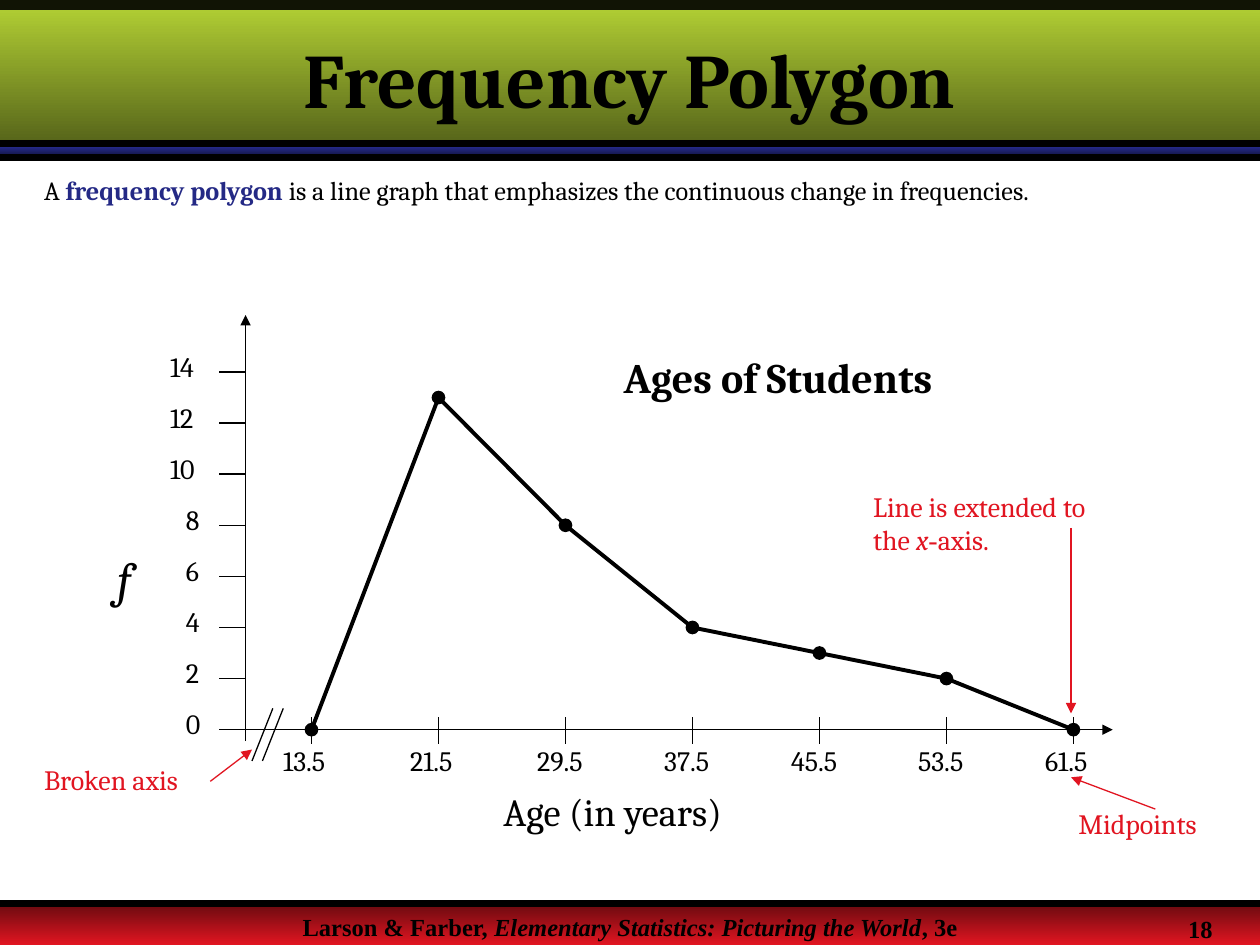
from dataclasses import dataclass

from lxml import etree
from pptx import Presentation
from pptx.dml.color import RGBColor
from pptx.enum.shapes import MSO_CONNECTOR, MSO_SHAPE
from pptx.enum.text import MSO_ANCHOR, PP_ALIGN
from pptx.oxml.ns import qn
from pptx.util import Cm, Pt

RECTANGLE, OVAL = MSO_SHAPE.RECTANGLE, MSO_SHAPE.OVAL
STRAIGHT = MSO_CONNECTOR.STRAIGHT
LEFT, CENTER = PP_ALIGN.LEFT, PP_ALIGN.CENTER
MIDDLE = MSO_ANCHOR.MIDDLE

COLORS = {
    "black": "000000", "navy": "242985", "deep_navy": "11133E",
    "red": "E11521", "deep_red": "680A0F",
    "green": "B5D335", "deep_green": "546219",
}
SERIF, CLASSIC = "Cambria", "Times New Roman"
WIDTH, HEIGHT = 25.4, 19.05
INSETS = (0.25, 0.13)
AXIS_X, AXIS_Y = 4.95, 14.71
FREQUENCY_UNIT = 0.515
FIRST_X, CLASS_STEP = 6.28, 2.56
MARKER = 0.25
FREQUENCIES = {13.5: 0, 21.5: 13, 29.5: 8, 37.5: 4, 45.5: 3, 53.5: 2, 61.5: 0}


@dataclass
class Run:
    text: str
    size: float
    color: str = "black"
    name: str = SERIF
    bold: bool = False
    italic: bool = False


@dataclass
class Label:
    box: tuple[float, float, float, float]
    runs: list[Run]
    insets: tuple[float, float] = INSETS
    align: int = LEFT


@dataclass
class Line:
    start: tuple[float, float]
    end: tuple[float, float]
    width: float = 0.88
    color: str = "black"
    arrow: bool = False


@dataclass
class Band:
    top: float
    height: float
    upper: str
    lower: str


def rgb(color: str) -> RGBColor:
    return RGBColor.from_string(COLORS[color])


def write_runs(frame, runs: list[Run], align: int) -> None:
    paragraph = frame.paragraphs[0]
    paragraph.alignment = align
    for run in runs:
        part = paragraph.add_run()
        part.text = run.text
        font_format = {"size": Pt(run.size), "name": run.name,
                       "bold": run.bold, "italic": run.italic}
        for attribute, value in font_format.items():
            setattr(part.font, attribute, value)
        part.font.color.rgb = rgb(run.color)


def draw_label(slide, label: Label) -> None:
    frame = slide.shapes.add_textbox(*map(Cm, label.box)).text_frame
    side, edge = map(Cm, label.insets)
    frame_format = {"word_wrap": True, "margin_left": side, "margin_right": side,
                    "margin_top": edge, "margin_bottom": edge}
    for attribute, value in frame_format.items():
        setattr(frame, attribute, value)
    write_runs(frame, label.runs, label.align)


def draw_line(slide, line: Line) -> None:
    connector = slide.shapes.add_connector(STRAIGHT, *map(Cm, line.start + line.end))
    connector.line.width = Pt(line.width)
    connector.line.color.rgb = rgb(line.color)
    if line.arrow:
        etree.SubElement(connector.line._get_or_add_ln(), qn("a:tailEnd"), type="triangle")
    etree.SubElement(connector._element.spPr, qn("a:effectLst"))


def draw_band(slide, band: Band) -> None:
    strip = slide.shapes.add_shape(RECTANGLE, 0, Cm(band.top), Cm(WIDTH), Cm(band.height))
    strip.shadow.inherit = False
    strip.line.fill.background()
    strip.fill.gradient()
    strip.fill.gradient_angle = 270
    for stop, color in zip(strip.fill.gradient_stops, (band.upper, band.lower)):
        stop.color.rgb = rgb(color)


def draw_top_strip(slide) -> None:
    strip = slide.shapes.add_shape(RECTANGLE, 0, 0, Cm(WIDTH), Cm(0.2))
    strip.shadow.inherit = False
    strip.line.fill.background()
    strip.fill.solid()
    strip.fill.fore_color.rgb = rgb("black")
    black = strip._element.spPr.find(qn("a:solidFill")).find(qn("a:srgbClr"))
    etree.SubElement(black, qn("a:alpha"), val="90000")


def draw_marker(slide, x: float, y: float) -> None:
    corner = (x - MARKER / 2, y - MARKER / 2)
    marker = slide.shapes.add_shape(OVAL, *map(Cm, corner + (MARKER, MARKER)))
    marker.shadow.inherit = False
    marker.fill.solid()
    marker.fill.fore_color.rgb = rgb("black")
    marker.line.color.rgb = rgb("black")
    marker.line.width = Pt(0.75)


def draw_frame(slide) -> None:
    for band in (Band(18.21, 0.84, "deep_red", "red"),
                 Band(2.97, 0.2, "navy", "deep_navy"),
                 Band(0, 2.97, "green", "deep_green")):
        draw_band(slide, band)
    draw_top_strip(slide)
    for y in (2.9, 3.18, 18.21):
        draw_line(slide, Line((0, y), (WIDTH, y), 4))
    footer = {"size": 14, "name": CLASSIC, "bold": True}
    draw_label(slide, Label((0, 18.26, WIDTH, 0.51), [
        Run("Larson & Farber, ", **footer),
        Run("Elementary Statistics: Picturing the World", italic=True, **footer),
        Run(", 3e", **footer)], align=CENTER))
    draw_label(slide, Label((23.7, 18.29, 1.6, 0.7), [Run("18", **footer)]))


def draw_title(slide) -> None:
    title = slide.shapes.title
    box = {"left": 0, "top": Cm(0.2), "width": Cm(WIDTH), "height": Cm(2.75)}
    for attribute, value in box.items():
        setattr(title, attribute, value)
    title.text_frame.vertical_anchor = MIDDLE
    write_runs(title.text_frame, [Run("Frequency Polygon", 44, bold=True)], CENTER)
    slide.shapes._spTree.append(title._element)


def draw_axes(slide) -> None:
    draw_line(slide, Line((AXIS_X, 14.94), (AXIS_X, 6.35), arrow=True))
    draw_line(slide, Line((4.78, AXIS_Y), (22.43, AXIS_Y), arrow=True))
    for frequency in range(0, 15, 2):
        y = AXIS_Y - frequency * FREQUENCY_UNIT
        text = str(frequency)
        draw_line(slide, Line((4.42, y), (AXIS_X, y)))
        draw_label(slide, Label((4.07 - 0.32 * len(text), y - 0.46, 0.8, 0.69),
                                [Run(text, 16)], (0, 0)))
    for shift in (0, 0.21):
        draw_line(slide, Line((5.5 + shift, 14.28), (5.08 + shift, 15.34), 0.75))


def draw_polygon(slide) -> None:
    points = []
    for index, (midpoint, frequency) in enumerate(FREQUENCIES.items()):
        x = FIRST_X + index * CLASS_STEP
        points.append((x, AXIS_Y - frequency * FREQUENCY_UNIT))
        draw_line(slide, Line((x, 14.99), (x, 14.45)))
        draw_label(slide, Label((x - 0.57, 14.99, 1.3, 0.69),
                                [Run(str(midpoint), 16)], (0, 0)))
    for point in points:
        draw_marker(slide, *point)
    for start, end in zip(points, points[1:]):
        draw_line(slide, Line(start, end, 2.25))


def draw_texts(slide) -> None:
    for label in (
        Label((0.64, 3.38, 24.13, 1.27), [
            Run("A ", 15), Run("frequency polygon", 15, "navy", bold=True),
            Run(" is a line graph that emphasizes the continuous change in frequencies.", 15)]),
        Label((12.32, 6.95, 8.84, 1.27), [Run("Ages of Students", 24, bold=True)]),
        Label((9.9, 15.75, 5.46, 1.19), [Run("Age (in years)", 22)]),
        Label((2.11, 10.92, 1.27, 1.45), [Run("f", 28, italic=True)]),
        Label((0.64, 15.24, 4.24, 0.94), [Run("Broken axis", 16, "red")]),
        Label((21.49, 16.13, 3.15, 0.94), [Run("Midpoints", 16, "red")]),
        Label((17.35, 9.73, 5.16, 1.63), [
            Run("Line is extended to the ", 16, "red"), Run("x", 16, "red", italic=True),
            Run("-", 16, "red", CLASSIC), Run("axis.", 16, "red")]),
    ):
        draw_label(slide, label)
    for start, end in (((4.24, 15.75), (5.08, 15.11)),
                       ((23.29, 16.31), (21.59, 15.67)),
                       ((21.59, 10.64), (21.59, 14.38))):
        draw_line(slide, Line(start, end, 0.75, "red", True))


def main() -> None:
    deck = Presentation()
    deck.slide_width, deck.slide_height = Cm(WIDTH), Cm(HEIGHT)
    slide = deck.slides.add_slide(deck.slide_layouts[5])
    for draw in (draw_frame, draw_title, draw_axes, draw_polygon, draw_texts):
        draw(slide)
    deck.save("out.pptx")


if __name__ == "__main__":
    main()
